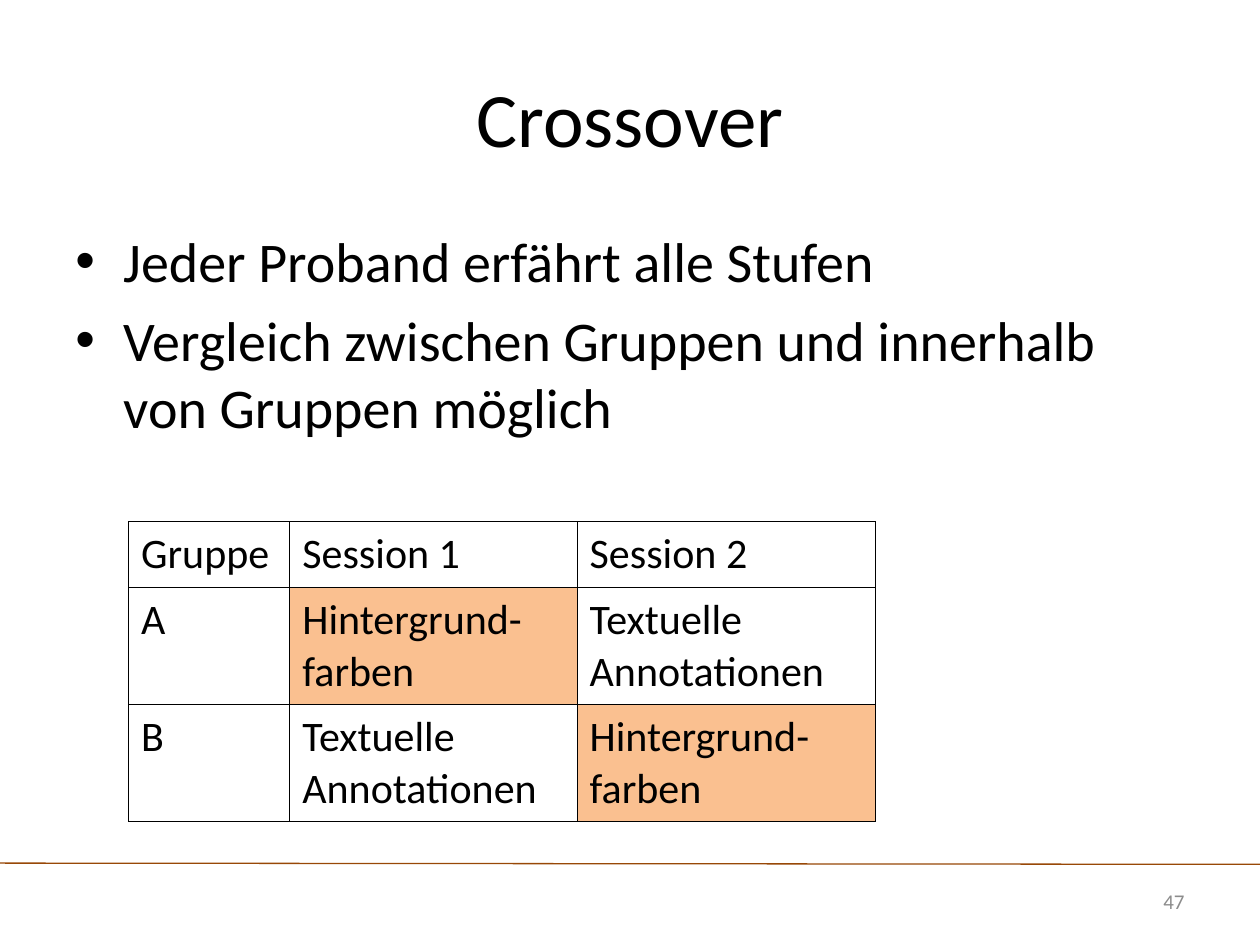
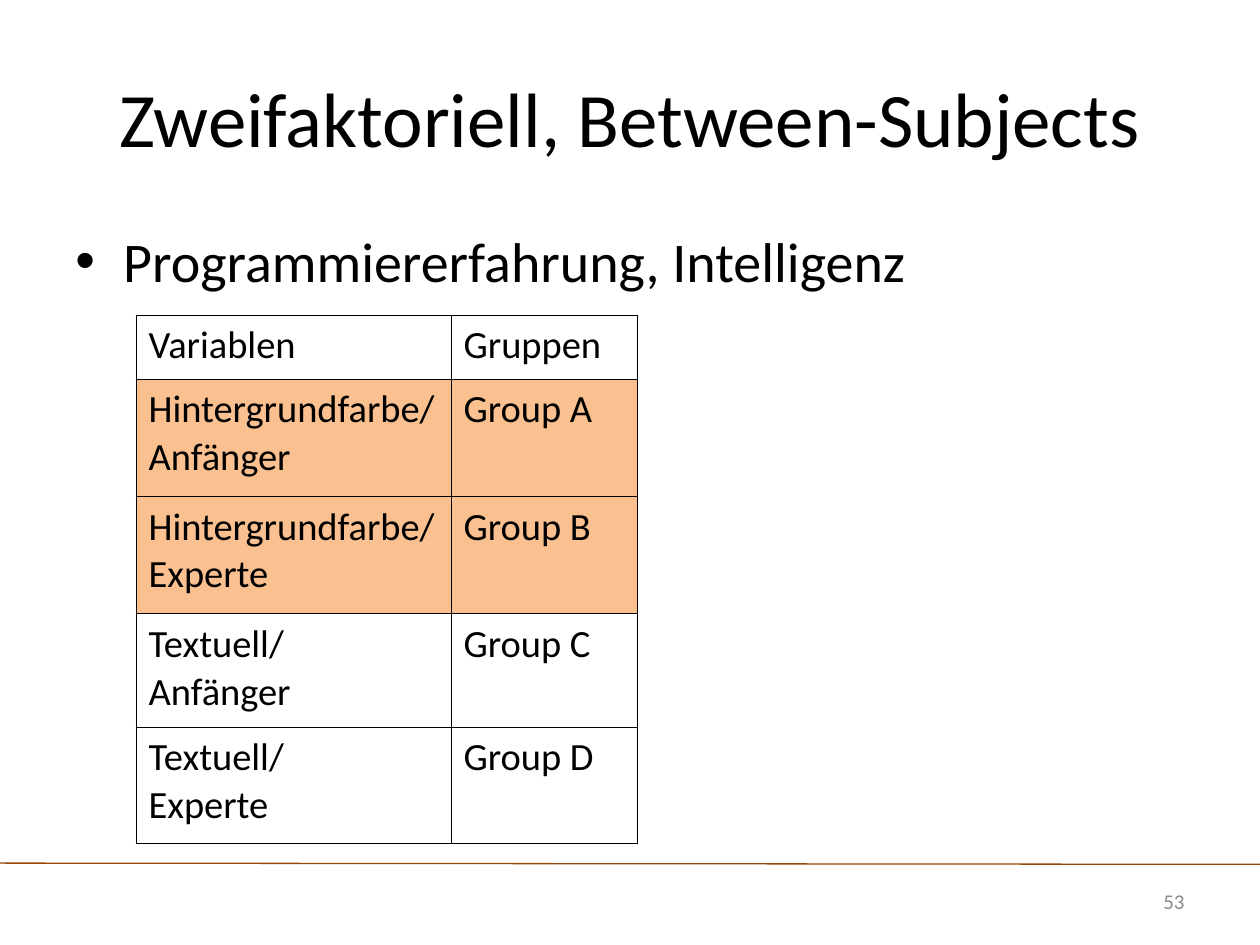
from lxml import etree
from pptx import Presentation
from pptx.dml.color import RGBColor
from pptx.enum.shapes import MSO_CONNECTOR
from pptx.enum.text import MSO_ANCHOR, PP_ALIGN
from pptx.oxml.ns import qn
from pptx.util import Inches, Pt

STRAIGHT = MSO_CONNECTOR.STRAIGHT
TOP, MIDDLE = MSO_ANCHOR.TOP, MSO_ANCHOR.MIDDLE
LEFT, CENTER, RIGHT = PP_ALIGN.LEFT, PP_ALIGN.CENTER, PP_ALIGN.RIGHT

COLORS = {"text": "000000", "number": "8C8C8C", "rule": "984807",
          "highlight": "FAC090", "border": "000000"}
FONT = "Calibri"
TITLE_BOX = (0.5, 0.3, 9, 1.25)
BODY_BOX = (0.5, 1.75, 9, 4.95)
NUMBER_BOX = (8.59, 6.95, 0.91, 0.4)
BULLET_INDENT = 0.38
BORDER_WIDTH = 0.45


def color(name):
    """Return the named palette colour."""
    return RGBColor.from_string(COLORS[name])


def style(paragraph, size, color_name="text"):
    """Set the font of a whole paragraph."""
    paragraph.font.name = FONT
    paragraph.font.size = Pt(size)
    paragraph.font.color.rgb = color(color_name)


def add_text(slide, box, text, size, align=LEFT, anchor=TOP, color_name="text"):
    """Add a wrapping text box and return its paragraphs."""
    frame = slide.shapes.add_textbox(*map(Inches, box)).text_frame
    frame.word_wrap = True
    frame.vertical_anchor = anchor
    frame.text = text
    for paragraph in frame.paragraphs:
        paragraph.alignment = align
        style(paragraph, size, color_name)
    return frame.paragraphs


def add_bullets(slide, box, points):
    """Add the bulleted body text."""
    for index, paragraph in enumerate(add_text(slide, box, "\n".join(points), 32)):
        if index:
            paragraph.space_before = Pt(6.4)
        properties = paragraph._p.get_or_add_pPr()
        properties.set("marL", str(Inches(BULLET_INDENT)))
        properties.set("indent", str(-Inches(BULLET_INDENT)))
        bullet_font = etree.Element(qn("a:buFont"), typeface="Arial")
        bullet = etree.Element(qn("a:buChar"), char="•")
        properties.find(qn("a:defRPr")).addprevious(bullet_font)
        bullet_font.addnext(bullet)


def add_borders(cell):
    """Draw a thin line on every side of a cell."""
    properties = cell._tc.get_or_add_tcPr()
    for side in ("lnL", "lnR", "lnT", "lnB"):
        line = etree.SubElement(properties, qn(f"a:{side}"), w=str(Pt(BORDER_WIDTH)))
        fill = etree.SubElement(line, qn("a:solidFill"))
        etree.SubElement(fill, qn("a:srgbClr"), val=COLORS["border"])


def add_design_table(slide, position, widths, heights, rows, size, highlighted):
    """Add a table of groups, with the highlighted cells filled."""
    box = (*position, sum(widths), sum(heights))
    table = slide.shapes.add_table(len(rows), len(widths), *map(Inches, box)).table
    table.first_row = table.horz_banding = False
    for column, width in zip(table.columns, widths):
        column.width = Inches(width)
    for r, (row, height) in enumerate(zip(rows, heights)):
        table.rows[r].height = Inches(height)
        for c, text in enumerate(row):
            cell = table.cell(r, c)
            cell.text = text
            add_borders(cell)
            if (r, c) in highlighted:
                cell.fill.solid()
                cell.fill.fore_color.rgb = color("highlight")
            else:
                cell.fill.background()
            for paragraph in cell.text_frame.paragraphs:
                paragraph.line_spacing = 1.02
                style(paragraph, size)


def add_footer(slide, number):
    """Add the footer rule and the slide number."""
    rule = slide.shapes.add_connector(
        STRAIGHT, Inches(0), Inches(6.85), Inches(10), Inches(6.86))
    rule.line.color.rgb = color("rule")
    rule.line.width = Pt(0.75)
    etree.SubElement(rule._element.spPr, qn("a:effectLst"))
    add_text(slide, NUMBER_BOX, str(number), 12, RIGHT, MIDDLE, "number")


def add_design_slide(deck, title, points, number):
    """Add a slide with title, bullets and footer."""
    slide = deck.slides.add_slide(deck.slide_layouts[6])
    add_footer(slide, number)
    add_text(slide, TITLE_BOX, title, 44, CENTER, MIDDLE)
    add_bullets(slide, BODY_BOX, points)
    return slide


def main():
    """Build and save the deck."""
    deck = Presentation()
    deck.slide_width, deck.slide_height = Inches(10), Inches(7.5)

    crossover = add_design_slide(
        deck, "Crossover",
        ["Jeder Proband erfährt alle Stufen",
         "Vergleich zwischen Gruppen und innerhalb von Gruppen möglich"], 47)
    background, textual = "Hintergrund-farben", "Textuelle Annotationen"
    add_design_table(
        crossover, (1.02, 4.14), [1.28, 2.28, 2.37], [0.52, 0.93, 0.93],
        [("Gruppe", "Session 1", "Session 2"),
         ("A", background, textual),
         ("B", textual, background)],
        24, {(1, 1), (2, 2)})

    between = add_design_slide(
        deck, "Zweifaktoriell, Between-Subjects",
        ["Programmiererfahrung, Intelligenz"], 53)
    conditions = [f"{variable}/\n{level}"
                  for variable in ("Hintergrundfarbe", "Textuell")
                  for level in ("Anfänger", "Experte")]
    groups = [f"Group {letter}" for letter in "ABCD"]
    add_design_table(
        between, (1.08, 2.5), [2.5, 1.48], [0.51, 0.93, 0.93, 0.9, 0.92],
        [("Variablen", "Gruppen"), *zip(conditions, groups)],
        22, {(r, c) for r in (1, 2) for c in (0, 1)})

    deck.save("out.pptx")


if __name__ == "__main__":
    main()
